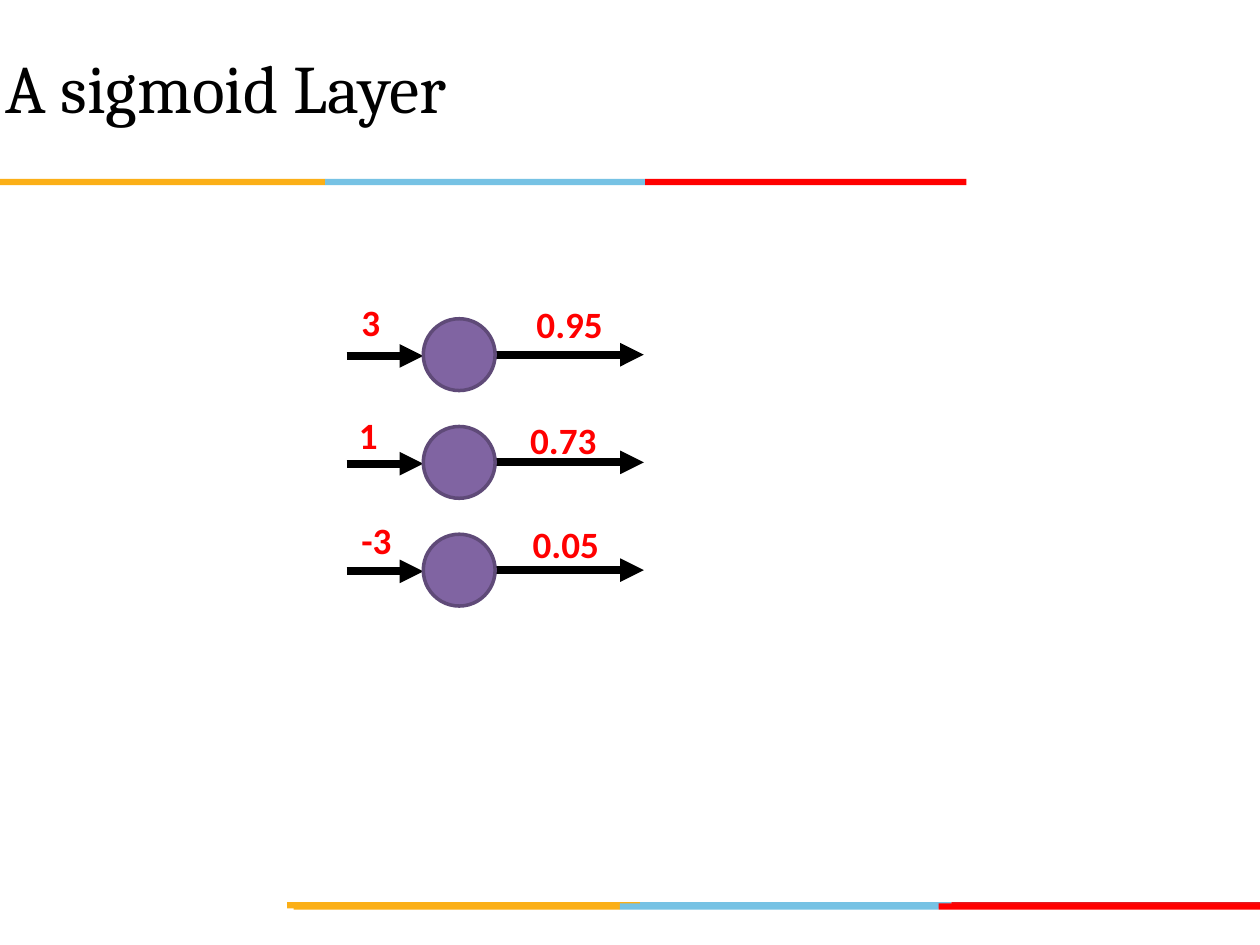
from pptx import Presentation
from pptx.dml.color import RGBColor
from pptx.enum.shapes import MSO_CONNECTOR as Conn, MSO_SHAPE as Form
from pptx.enum.text import MSO_ANCHOR as Anchor
from pptx.oxml.ns import qn
from pptx.util import Inches, Pt
from lxml.etree import SubElement as Sub

BLACK = RGBColor(0x00, 0x00, 0x00)
RED = RGBColor(0xFF, 0x00, 0x00)
BRICK = RGBColor(0xE2, 0x1C, 0x23)
GOLD = RGBColor(0xFB, 0xAF, 0x17)
SKY = RGBColor(0x76, 0xC2, 0xE4)
PURPLE = RGBColor(0x80, 0x64, 0xA2)
PLUM = RGBColor(0x5F, 0x4A, 0x78)

TITLE = dict(size=Pt(38.8), name="Cambria")
VALUE = dict(size=Pt(21.2), name="Calibri", bold=True)

# Each neuron: input and output as (text, shift right, shift down)
NEURONS = [
    (("3", 0.02, -0.2), ("0.95", 1.41, -0.19)),
    (("1", 0, -0.16), ("0.73", 1.36, -0.12)),
    (("-3", 0.02, -0.18), ("0.05", 1.38, -0.15)),
]


def add_form(slide, form, box, fill, edge=None):
    shape = slide.shapes.add_shape(form, *map(Inches, box))
    shape.shadow.inherit = False
    shape.fill.solid()
    shape.fill.fore_color.rgb = fill
    if edge:
        shape.line.color.rgb = edge
        shape.line.width = Pt(2)
    else:
        shape.line.fill.background()


def add_text(slide, text, box, style, color):
    frame = slide.shapes.add_textbox(*map(Inches, box)).text_frame
    frame.word_wrap = True
    para = frame.paragraphs[0]
    font = para.add_run().font
    para.runs[0].text = text
    for key, value in style.items():
        setattr(font, key, value)
    font.color.rgb = color
    return frame


def add_arrow(slide, start, end, y):
    arrow = slide.shapes.add_connector(
        Conn.STRAIGHT, *map(Inches, (start, y, end, y)))
    arrow.line.color.rgb = BLACK
    arrow.line.width = Pt(4.5)
    Sub(arrow.line._get_or_add_ln(), qn("a:tailEnd"), type="triangle")
    Sub(arrow._element.spPr, qn("a:effectLst"))


def add_band(slide, top, edges, last=RED):
    """Three-colour stripe between the given edges."""
    for left, right, fill in zip(edges, edges[1:], (GOLD, SKY, last)):
        add_form(slide, Form.RECTANGLE, (left, top, right - left, 0.05), fill)


def add_title(slide, box):
    frame = add_text(slide, "A sigmoid Layer", box, TITLE, BLACK)
    frame.vertical_anchor = Anchor.MIDDLE
    for side in ("left", "top", "right", "bottom"):
        setattr(frame, f"margin_{side}", Inches(0.01))


def add_layer(slide, box):
    """One row per neuron: input arrow, circle, output arrow, values."""
    left, top, width, height = box
    size = 0.57
    pitch = (height - size) / (len(NEURONS) - 1)
    near = left + 0.61
    far = near + size
    for row, labels in enumerate(NEURONS):
        y = top + row * pitch
        mid = y + size / 2
        add_arrow(slide, far, left + width, mid)
        add_arrow(slide, left, near, mid + 0.01)
        add_form(slide, Form.OVAL, (near, y, size, size), PURPLE, PLUM)
        for (text, dx, dy), span in zip(labels, (0.5, 0.8)):
            add_text(slide, text, (left + dx, y + dy, span, 0.46),
                     VALUE, RED)


def main():
    deck = Presentation()
    deck.slide_width, deck.slide_height = Inches(10), Inches(7.5)
    slide = deck.slides.add_slide(deck.slide_layouts[6])

    # Footer stripes, then the one under the title
    add_band(slide, 7.16, (2.28, 5.08, 7.55, 10), BRICK)
    add_band(slide, 7.17, (2.33, 4.92, 7.45, 10))
    add_band(slide, 1.42, (0, 2.58, 5.12, 7.67))

    add_title(slide, (0.03, 0.35, 8.92, 0.67))
    add_layer(slide, (2.75, 2.53, 2.36, 2.28))
    deck.save("out.pptx")


if __name__ == "__main__":
    main()
